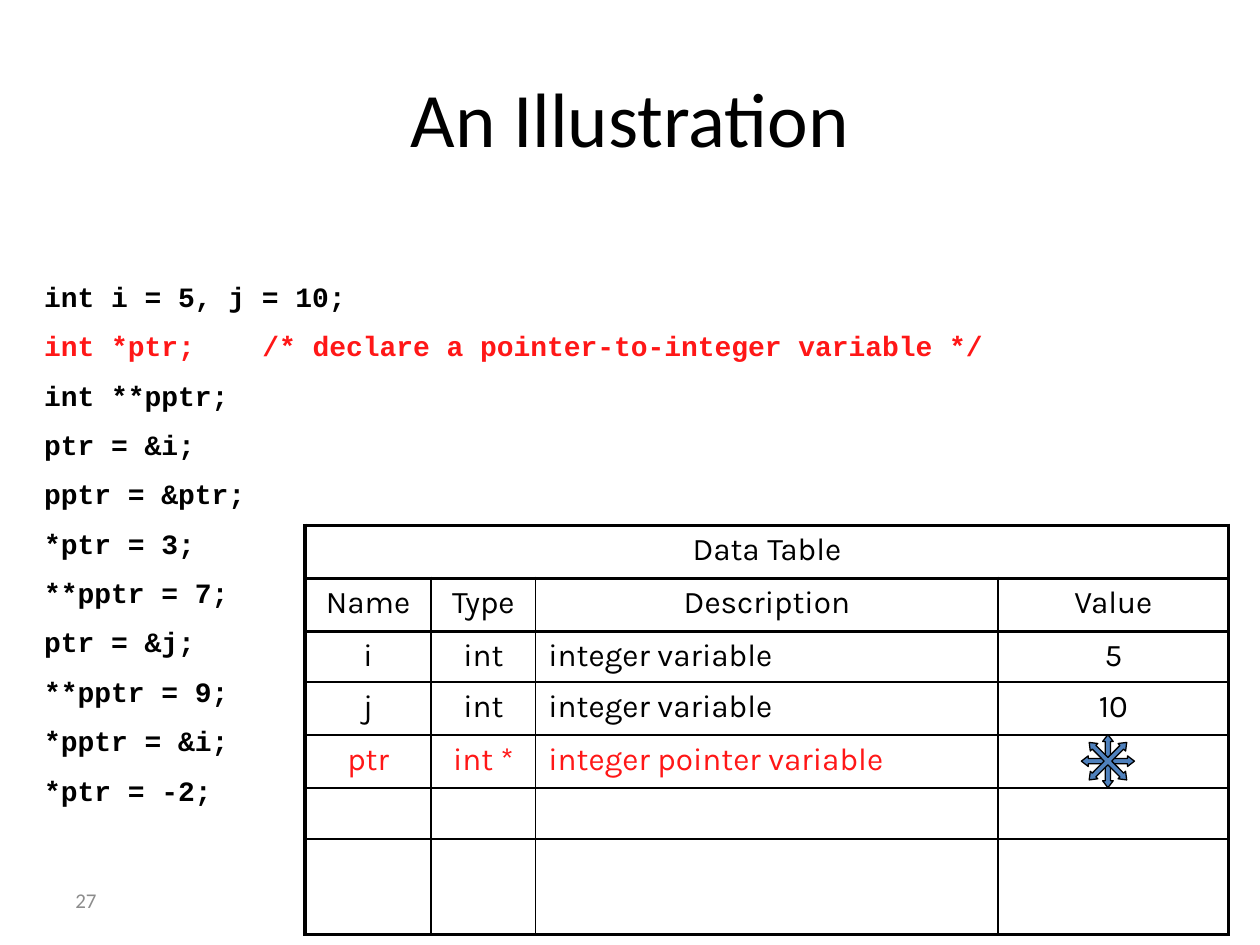
from lxml import etree
from pptx import Presentation
from pptx import util as u
from pptx.dml.color import RGBColor
from pptx.enum import shapes, text
from pptx.oxml.ns import qn

BLACK, RED, GREY, BLUE = "000000", "FF1717", "8C8C8C", "4F81BD"
CENTER, LEFT = text.PP_ALIGN.CENTER, text.PP_ALIGN.LEFT
CODE = [
    "int i = 5, j = 10;",
    "int *ptr;\t/* declare a pointer-to-integer variable */",
    "int **pptr;",
    "ptr = &i;",
    "pptr = &ptr;",
    "*ptr = 3;",
    "**pptr = 7;",
    "ptr = &j;",
    "**pptr = 9;",
    "*pptr = &i;",
    "*ptr = -2;",
]
CODE_FONT = {"name": "Courier New", "size": u.Pt(16), "bold": True}
DATA = [
    ["Data Table", "", "", ""],
    ["Name", "Type", "Description", "Value"],
    ["i", "int", "integer variable", "5"],
    ["j", "int", "integer variable", "10"],
    ["ptr", "int *", "integer pointer variable", ""],
    [""] * 4,
    [""] * 4,
]
COLUMN_WIDTHS = [2.54, 2.11, 9.32, 4.65]
ROW_HEIGHTS = [1.07, 1.07, 1.02, 1.07, 1.07, 1.02, 1.93]
POINTER_ROW = 4


def rgb(hex_color):
    """Turn a hex string into a colour."""
    return RGBColor.from_string(hex_color)


def write(paragraph, words, color, font, align=LEFT):
    """Put one formatted run into a paragraph."""
    paragraph.alignment = align
    run = paragraph.add_run()
    run.text = words
    for name, value in font.items():
        setattr(run.font, name, value)
    run.font.color.rgb = rgb(color)


def add_title(slide, words):
    """Place and format the title placeholder."""
    title = slide.shapes.title
    place = {"left": 1.27, "top": 0.76, "width": 22.86, "height": 3.18}
    for name, value in place.items():
        setattr(title, name, u.Cm(value))
    title.text_frame.vertical_anchor = text.MSO_ANCHOR.MIDDLE
    font = {"name": "Calibri", "size": u.Pt(44)}
    write(title.text_frame.paragraphs[0], words, BLACK, font, CENTER)


def add_text_frame(slide, left, top, width, height):
    """Add a wrapping text box and return its frame."""
    box = slide.shapes.add_textbox(*map(u.Cm, (left, top, width, height)))
    box.text_frame.word_wrap = True
    return box.text_frame


def add_page_number(slide, number):
    """Add the page number at the lower left."""
    frame = add_text_frame(slide, 1.27, 17.65, 5.93, 1.01)
    frame.vertical_anchor = text.MSO_ANCHOR.MIDDLE
    font = {"name": "Calibri", "size": u.Pt(12)}
    write(frame.paragraphs[0], number, GREY, font)


def add_tab_stop(paragraph, position):
    """Give a paragraph one left tab stop."""
    tabs = etree.SubElement(paragraph._p.get_or_add_pPr(), qn("a:tabLst"))
    etree.SubElement(tabs, qn("a:tab"), pos=str(position), algn="l")


def add_code(slide):
    """Add the code listing with its declaration highlighted."""
    frame = add_text_frame(slide, 0.64, 5.51, 23.7, 11.13)
    frame.auto_size = text.MSO_AUTO_SIZE.SHAPE_TO_FIT_TEXT
    for index, line in enumerate(CODE):
        paragraph = frame.add_paragraph() if index else frame.paragraphs[0]
        paragraph.space_after = u.Pt(9)
        if "\t" in line:
            add_tab_stop(paragraph, u.Cm(4.4))
        write(paragraph, line, RED if "\t" in line else BLACK, CODE_FONT)


def set_borders(cell, thick_edges):
    """Draw all four cell borders, the named ones thicker."""
    properties = cell._tc.get_or_add_tcPr()
    for edge in "LRTB":
        width = u.Pt(2.25 if edge in thick_edges else 1)
        line = etree.SubElement(properties, qn(f"a:ln{edge}"), w=str(width))
        fill = etree.SubElement(line, qn("a:solidFill"))
        etree.SubElement(fill, qn("a:srgbClr"), val=BLACK)


def thick_edges(row, column):
    """Name the edges on the frame or around the header rows."""
    rules = {
        "L": row == 0 or column == 0,
        "R": row == 0 or column == len(COLUMN_WIDTHS) - 1,
        "T": row <= 2,
        "B": row <= 1 or row == len(ROW_HEIGHTS) - 1,
    }
    return [edge for edge, thick in rules.items() if thick]


def add_data_table(slide):
    """Add the table of variables."""
    size = sum(COLUMN_WIDTHS), sum(ROW_HEIGHTS)
    table = slide.shapes.add_table(
        len(DATA), len(COLUMN_WIDTHS), *map(u.Cm, (6.15, 10.59, *size))
    ).table
    table.first_row = table.horz_banding = False
    for column, width in zip(table.columns, COLUMN_WIDTHS):
        column.width = u.Cm(width)
    for row, height in zip(table.rows, ROW_HEIGHTS):
        row.height = u.Cm(height)
    table.cell(0, 0).merge(table.cell(0, len(COLUMN_WIDTHS) - 1))
    font = {"name": "Karla", "size": u.Pt(18)}
    for r, values in enumerate(DATA):
        for c, value in enumerate(values):
            cell = table.cell(r, c)
            set_borders(cell, thick_edges(r, c))
            cell.fill.background()
            color = RED if r == POINTER_ROW else BLACK
            align = LEFT if r > 1 and c == 2 else CENTER
            write(cell.text_frame.paragraphs[0], value, color, font, align)


def add_burst(slide):
    """Add the eight-way arrow as two grouped four-way arrows."""
    burst = slide.shapes.add_group_shape()
    for rotation in (0, 45):
        arrow = burst.shapes.add_shape(
            shapes.MSO_SHAPE.QUAD_ARROW, *map(u.Cm, (21.8, 14.81, 1.07, 1.07))
        )
        arrow.rotation = rotation
        arrow.shadow.inherit = False
        for index, value in enumerate((0.1, 0.1, 0.13)):
            arrow.adjustments[index] = value
        arrow.fill.solid()
        arrow.fill.fore_color.rgb = rgb(BLUE)
        arrow.line.color.rgb = rgb(BLACK)
        arrow.line.width = u.Pt(0.75)


def main():
    """Build and save the slide."""
    deck = Presentation()
    deck.slide_width, deck.slide_height = u.Cm(25.4), u.Cm(19.05)
    slide = deck.slides.add_slide(deck.slide_layouts[5])
    add_page_number(slide, "27")
    add_title(slide, "An Illustration")
    add_code(slide)
    add_data_table(slide)
    add_burst(slide)
    deck.save("out.pptx")


if __name__ == "__main__":
    main()
